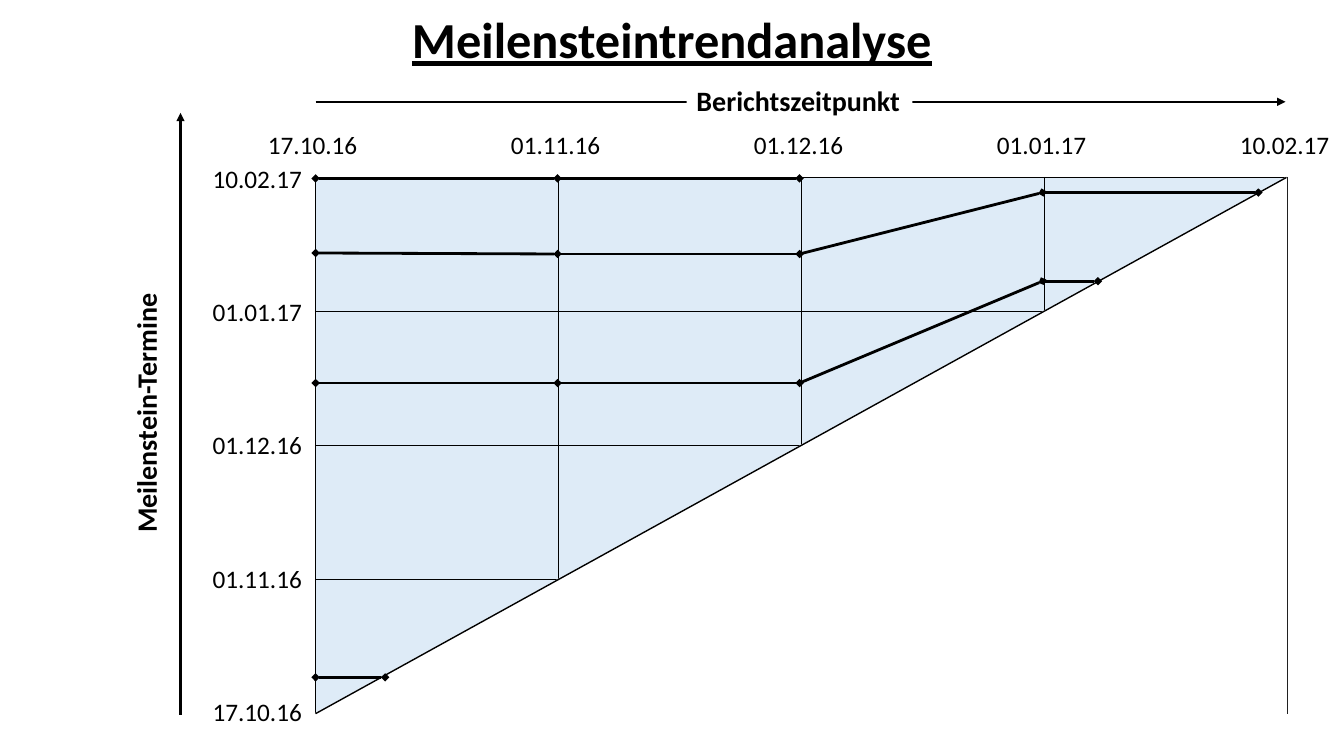
from pptx import Presentation
from pptx.dml.color import RGBColor as RGB
from pptx.enum.shapes import MSO_CONNECTOR as CONN
from pptx.enum.text import MSO_AUTO_SIZE as AUTO, PP_ALIGN as ALIGN
from pptx.oxml import parse_xml
from pptx.oxml.ns import nsdecls
from pptx.util import Inches, Pt

COLORS = {"black": "000000", "white": "FFFFFF", "grid": "DEEBF7"}
BLACK, WHITE, GRID = (RGB.from_string(c) for c in COLORS.values())

LEFT, TOP, COL_W, ROW_H, N = 3.13, 1.76, 2.41, 1.33, 4
RIGHT, BOTTOM = 12.76, 7.08
DATES = ["17.10.16", "01.11.16", "01.12.16", "01.01.17", "10.02.17"]

prs = Presentation()
prs.slide_width, prs.slide_height = Inches(13.33), Inches(7.5)
s = prs.slides.add_slide(prs.slide_layouts[6])


def add_text(text, x, y, w, h, size=18, bold=False, align=ALIGN.LEFT):
    """Add a one-line text box and return it with its run."""
    sp = s.shapes.add_textbox(Inches(x), Inches(y), Inches(w), Inches(h))
    tf = sp.text_frame
    tf.word_wrap = False
    tf.auto_size = AUTO.SHAPE_TO_FIT_TEXT
    p = tf.paragraphs[0]
    p.alignment = align
    r = p.add_run()
    r.text = text
    r.font.name, r.font.size, r.font.bold = "Calibri", Pt(size), bold
    r.font.color.rgb = BLACK
    return sp, r


def add_line(start, end, width, head=None, tail=None):
    """Add a black straight line with optional end markers."""
    ends = [Inches(v) for v in (*start, *end)]
    line = s.shapes.add_connector(CONN.STRAIGHT, *ends)
    line.line.color.rgb = BLACK
    line.line.width = Pt(width)
    ln = line.line._get_or_add_ln()
    for tag, kind in (("headEnd", head), ("tailEnd", tail)):
        if kind:
            ln.append(parse_xml(f'<a:{tag} {nsdecls("a")} type="{kind}"/>'))
    line._element.spPr.append(parse_xml(f'<a:effectLst {nsdecls("a")}/>'))


# Date grid
table = s.shapes.add_table(N, N, Inches(LEFT), Inches(TOP),
                           Inches(N * COL_W), Inches(N * ROW_H)).table
table.first_row = table.horz_banding = False
for i in range(N):
    table.columns[i].width = Inches(COL_W)
    table.rows[i].height = Inches(ROW_H)
for cell in table.iter_cells():
    cell.fill.solid()
    cell.fill.fore_color.rgb = GRID
    tcPr = cell._tc.get_or_add_tcPr()
    for i, side in enumerate(("lnL", "lnR", "lnT", "lnB")):
        tcPr.insert(i, parse_xml(
            f'<a:{side} {nsdecls("a")} w="12700"><a:solidFill>'
            f'<a:srgbClr val="{COLORS["black"]}"/></a:solidFill></a:{side}>'))

# White triangle hides the lower right half of the grid
builder = s.shapes.build_freeform(Inches(LEFT), Inches(BOTTOM))
builder.add_line_segments([(Inches(RIGHT), Inches(TOP)),
                           (Inches(RIGHT), Inches(BOTTOM))], close=True)
mask = builder.convert_to_shape()
mask.shadow.inherit = False
mask.fill.solid()
mask.fill.fore_color.rgb = WHITE
mask.line.color.rgb = WHITE
mask.line.width = Pt(1)
add_line((LEFT, BOTTOM), (RIGHT, TOP), 1)

# Axis dates
for i, date in enumerate(DATES):
    add_text(date, 2.01, 6.86 - i * 1.3225, 1.1, 0.4)
    add_text(date, 2.56 + i * COL_W, 1.23, 1.1, 0.4)

# Axis arrows and titles
add_line((1.79, 7.09), (1.79, 1.12), 1.75, tail="triangle")
sp, r = add_text("Meilenstein-Termine", -0.13, 3.88, 3.16, 0.44, 20, True, ALIGN.CENTER)
sp.rotation = 270
add_line((LEFT, 1.01), (12.75, 1.01), 1.75, tail="triangle")
sp, r = add_text("Berichtszeitpunkt", 6.81, 0.78, 2.24, 0.44, 20, True)
sp.fill.solid()
sp.fill.fore_color.rgb = WHITE

sp, r = add_text("Meilensteintrendanalyse", 3.91, 0.03, 5.51, 0.71, 36, True, ALIGN.CENTER)
r.font.underline = True

# Milestone trends: one list of points each
X0, X1, X2, X3 = (LEFT + i * 2.4 for i in range(3)), None, None, None
X0, X1, X2 = X0
X3 = 10.34
MILESTONES = [
    [(X0, 6.72), (3.82, 6.72)],
    [(X0, 3.8), (X1, 3.8), (X2, 3.8), (X3, 2.79), (10.89, 2.79)],
    [(X0, 2.51), (X1, 2.52), (X2, 2.52), (X3, 1.91), (12.48, 1.91)],
    [(X0, 1.77), (X1, 1.77), (X2, 1.77)],
]
for points in MILESTONES:
    for i, (start, end) in enumerate(zip(points, points[1:])):
        add_line(start, end, 2, head=None if i else "diamond", tail="diamond")

prs.save("out.pptx")
